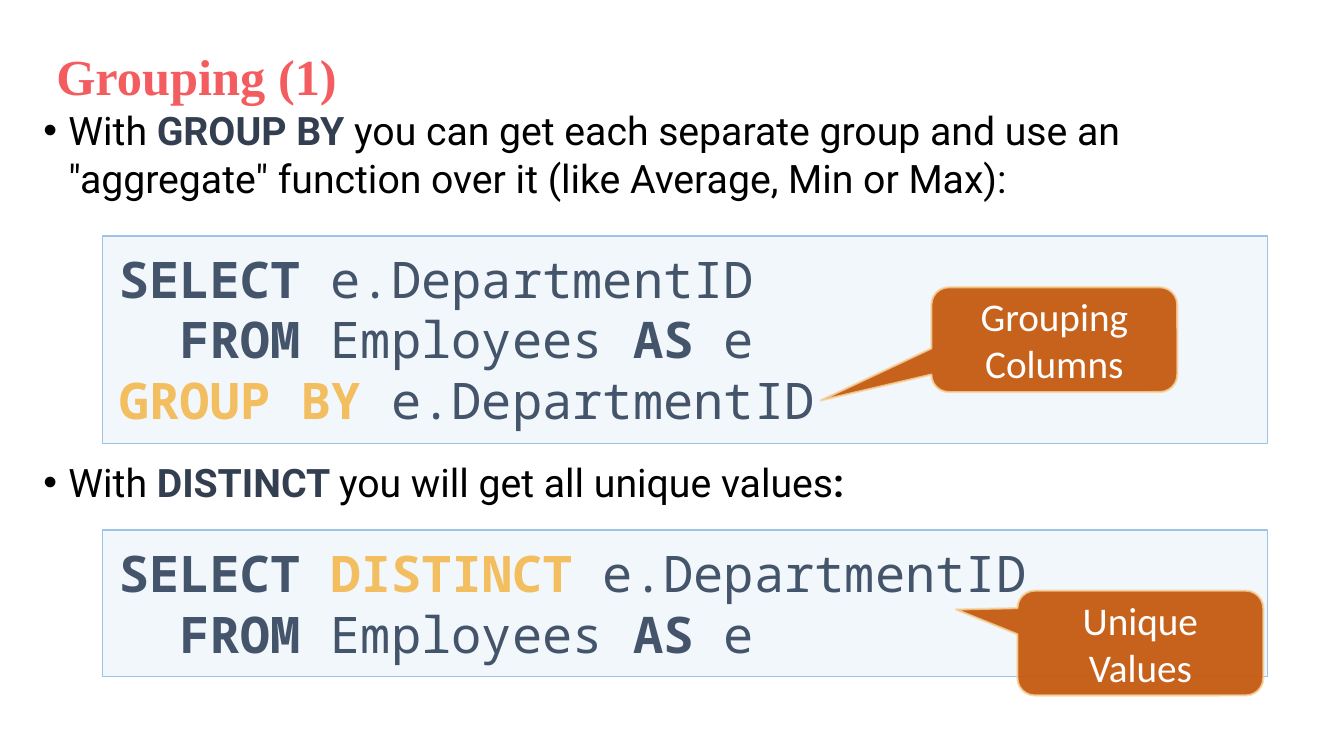
from pptx import Presentation
from pptx.dml.color import RGBColor
from pptx.enum.shapes import MSO_SHAPE
from pptx.enum.text import MSO_ANCHOR, PP_ALIGN
from pptx.oxml.ns import qn
from pptx.oxml.xmlchemy import OxmlElement
from pptx.util import Inches, Pt

BLACK = RGBColor(0x00, 0x00, 0x00)
WHITE = RGBColor(0xFF, 0xFF, 0xFF)
CORAL = RGBColor(0xF4, 0x5D, 0x60)
NAVY = RGBColor(0x33, 0x3F, 0x50)
SLATE = RGBColor(0x44, 0x54, 0x6A)
GOLD = RGBColor(0xF3, 0xBE, 0x60)
PALE_BLUE = RGBColor(0xBD, 0xD7, 0xEE)
SKY = RGBColor(0x9D, 0xC3, 0xE6)
RUST = RGBColor(0xC5, 0x5A, 0x11)
CREAM = RGBColor(0xF8, 0xD4, 0x9E)


class SlideBuilder:
    """Draws styled elements on one slide, placed in percent of its size."""

    def __init__(self, presentation):
        self.width = presentation.slide_width
        self.height = presentation.slide_height
        self.slide = presentation.slides.add_slide(presentation.slide_layouts[6])

    def area(self, left, top, width, height):
        return (int(self.width * left / 100), int(self.height * top / 100),
                int(self.width * width / 100), int(self.height * height / 100))

    def add_pieces(self, paragraph, pieces, font_name, size):
        for text, color, bold in pieces:
            run = paragraph.add_run()
            run.text = text
            run.font.name = font_name
            run.font.size = Pt(size)
            run.font.bold = bold
            run.font.color.rgb = color

    def text_box(self, area, pieces, font_name, size):
        text_frame = self.slide.shapes.add_textbox(*self.area(*area)).text_frame
        text_frame.word_wrap = True
        paragraph = text_frame.paragraphs[0]
        self.add_pieces(paragraph, pieces, font_name, size)
        return paragraph

    def title(self, area, text):
        self.text_box(area, [(text, CORAL, True)], "Times New Roman", 36)

    def bullet(self, area, pieces):
        paragraph = self.text_box(area, pieces, "Roboto", 28)
        properties = paragraph._p.get_or_add_pPr()
        properties.set("marL", str(Inches(0.25)))
        properties.set("indent", str(-Inches(0.25)))
        font = OxmlElement("a:buFont")
        font.set("typeface", "Arial")
        mark = OxmlElement("a:buChar")
        mark.set("char", "•")
        properties.extend([font, mark])

    def panel(self, kind, area, fill, line, line_width, opacities):
        shape = self.slide.shapes.add_shape(kind, *self.area(*area))
        shape.shadow.inherit = False
        shape.fill.solid()
        shape.fill.fore_color.rgb = fill
        shape.line.color.rgb = line
        shape.line.width = Pt(line_width)
        colors = list(shape._element.spPr.iter(qn("a:srgbClr")))
        for color, opacity in zip(colors, opacities):
            alpha = OxmlElement("a:alpha")
            alpha.set("val", str(opacity * 1000))
            color.append(alpha)
        return shape

    def fill_lines(self, text_frame, lines, font_name, size, alignment):
        for index, pieces in enumerate(lines):
            paragraph = text_frame.add_paragraph() if index else text_frame.paragraphs[0]
            paragraph.alignment = alignment
            self.add_pieces(paragraph, pieces, font_name, size)

    def code(self, area, lines):
        shape = self.panel(MSO_SHAPE.RECTANGLE, area, PALE_BLUE, SKY, 1, (20, 100))
        text_frame = shape.text_frame
        text_frame.word_wrap = True
        text_frame.vertical_anchor = MSO_ANCHOR.TOP
        text_frame.margin_left = text_frame.margin_right = Inches(0.16)
        text_frame.margin_top = text_frame.margin_bottom = Inches(0.12)
        self.fill_lines(text_frame, lines, "Noto Sans Mono", 36, PP_ALIGN.LEFT)

    def callout(self, left, top, tip, lines):
        shape = self.panel(MSO_SHAPE.ROUNDED_RECTANGULAR_CALLOUT, (left, top, 18.3, 13.87),
                           RUST, CREAM, 1.5, (95, 80))
        shape.adjustments[0], shape.adjustments[1] = tip
        text_frame = shape.text_frame
        text_frame.word_wrap = True
        text_frame.vertical_anchor = MSO_ANCHOR.MIDDLE
        pieces = [[(line, WHITE, False)] for line in lines]
        self.fill_lines(text_frame, pieces, "Calibri", 28, PP_ALIGN.CENTER)


def main():
    presentation = Presentation()
    presentation.slide_width = Inches(13.33)
    presentation.slide_height = Inches(7.5)
    builder = SlideBuilder(presentation)
    from_employees = [("  FROM", SLATE, True), (" Employees ", SLATE, False),
                      ("AS", SLATE, True), (" e", SLATE, False)]

    builder.bullet((2.48, 13.47, 95.5, 14.5), [
        ("With ", BLACK, False), ("GROUP BY ", NAVY, True),
        ("you can get each separate group and use an \"aggregate\" function "
         "over it (like Average, Min or Max):", BLACK, False)])
    builder.code((7.65, 31.2, 86.65, 27.47), [
        [("SELECT", SLATE, True), (" e.DepartmentID", SLATE, False)],
        from_employees,
        [("GROUP BY ", GOLD, True), ("e.DepartmentID", SLATE, False)]])
    builder.callout(69.3, 38, (-0.95, 0.58), ["Grouping", "Columns"])

    builder.bullet((2.48, 60, 95.5, 8), [
        ("With ", BLACK, False), ("DISTINCT ", NAVY, True),
        ("you will get all unique values", BLACK, False), (":", BLACK, True)])
    builder.code((7.65, 70.13, 86.65, 19.33), [
        [("SELECT ", SLATE, True), ("DISTINCT", GOLD, True),
         (" e.DepartmentID", SLATE, False)],
        from_employees])
    builder.callout(75.7, 78.13, (-0.75, -0.32), ["Unique Values"])

    builder.title((3.45, 5.33, 50.1, 9.47), "Grouping (1)")
    presentation.save("out.pptx")


if __name__ == "__main__":
    main()
